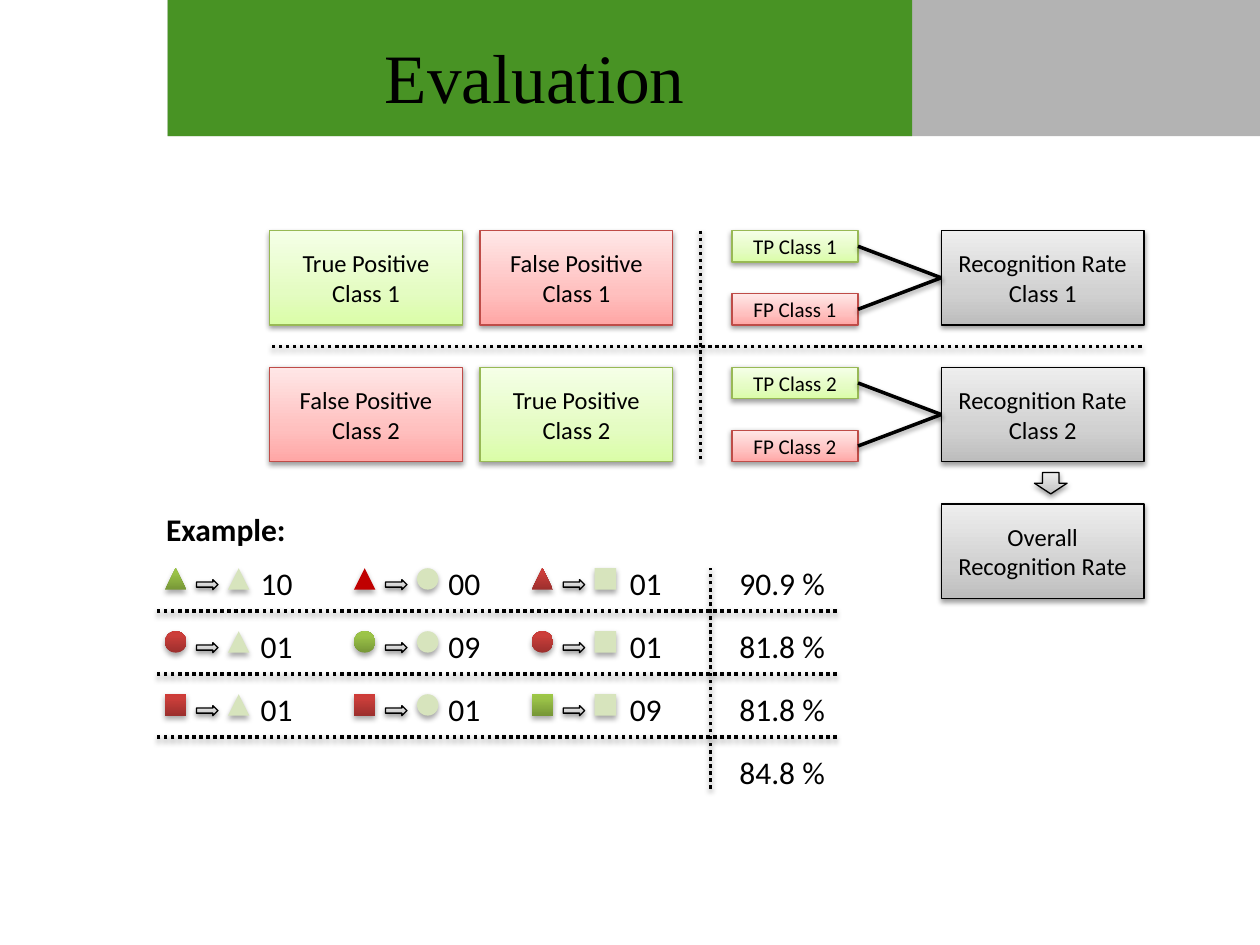
from copy import deepcopy
from typing import NamedTuple, Optional

from lxml import etree
from pptx import Presentation
from pptx.dml.color import RGBColor
from pptx.enum.dml import MSO_LINE
from pptx.enum.shapes import MSO_CONNECTOR, MSO_SHAPE
from pptx.enum.text import MSO_ANCHOR, MSO_AUTO_SIZE, PP_ALIGN
from pptx.oxml.ns import qn
from pptx.util import Inches, Pt

RECTANGLE = MSO_SHAPE.RECTANGLE
TRIANGLE = MSO_SHAPE.ISOSCELES_TRIANGLE
ELLIPSE = MSO_SHAPE.OVAL
RIGHT_ARROW = MSO_SHAPE.RIGHT_ARROW
DOWN_ARROW = MSO_SHAPE.DOWN_ARROW
STRAIGHT = MSO_CONNECTOR.STRAIGHT
DOTTED = MSO_LINE.ROUND_DOT
CENTER, LEFT = PP_ALIGN.CENTER, PP_ALIGN.LEFT
MIDDLE = MSO_ANCHOR.MIDDLE
NO_AUTO_SIZE = MSO_AUTO_SIZE.NONE

BLACK = RGBColor(0x00, 0x00, 0x00)
BAND_GRAY = RGBColor(0xB3, 0xB3, 0xB3)
BAND_GREEN = RGBColor(0x48, 0x93, 0x24)
PALE_GREEN = RGBColor(0xD7, 0xE4, 0xBD)
STRONG_RED = RGBColor(0xC0, 0x00, 0x00)
GREEN_EDGE = RGBColor(0x98, 0xB9, 0x55)
RED_EDGE = RGBColor(0xBF, 0x4C, 0x48)


class Style(NamedTuple):
    stops: tuple
    edge: Optional[RGBColor] = None


class Shadow(NamedTuple):
    opacity: int
    distance: float


def gradient(middle: float, *colors: str) -> tuple:
    return tuple(zip((0, middle, 1), map(RGBColor.from_string, colors)))


TRUE_BOX = Style(gradient(0.35, "DAFDA7", "E4FCC2", "F5FFE7"), GREEN_EDGE)
FALSE_BOX = Style(gradient(0.35, "FFA6A5", "FFC0BF", "FFE7E7"), RED_EDGE)
RATE_BOX = Style(gradient(0.35, "BDBDBD", "D1D1D1", "EEEEEE"), BLACK)
GREEN_MARK = Style(gradient(0.8, "779737", "9BC348", "9DC746"))
RED_MARK = Style(gradient(0.8, "9C2F2D", "CB3E3A", "CE3B37"))
FLAT_RED = Style(((0, STRONG_RED),))
FLAT_GREEN = Style(((0, PALE_GREEN),))
FLAT_BAND_GRAY = Style(((0, BAND_GRAY),))
FLAT_BAND_GREEN = Style(((0, BAND_GREEN),))
EDGE_SHADOW = Shadow(38, 1.6)
MARK_SHADOW = Shadow(35, 1.8)

MATRIX_TOP, MATRIX_STEP, BOX_HEIGHT = 1.83, 1.085, 0.75
MATRIX_LEFTS, BOX_WIDTH = (2.14, 3.81), 1.53
RATE_LEFT, RATE_WIDTH = 7.47, 1.61
LABEL_LEFT, LABEL_HEIGHT, LABEL_STEP = 5.81, 0.25, 0.5
EXAMPLE_TOP, EXAMPLE_STEP, MARK_SIZE = 4.51, 0.5, 0.17
EXAMPLE_LEFTS, MARK_STEP = (1.31, 2.81, 4.22), 0.25
COUNT_LEFT, COUNT_TABS = 1.97, (1.49, 2.93, 3.8)
MARKS = (TRIANGLE, ELLIPSE, RECTANGLE)
COUNTS = (
    ("10", "00", "01", "90.9 %"),
    ("01", "09", "01", "81.8 %"),
    ("01", "01", "09", "81.8 %"),
    ("", "", "", "84.8 %"),
)

presentation = Presentation()
presentation.slide_width, presentation.slide_height = Inches(10), Inches(7.5)
slide = presentation.slides.add_slide(presentation.slide_layouts[5])


def add_shadow(properties, shadow: Shadow) -> None:
    effects = properties.find(qn("a:effectLst"))
    if effects is None:
        effects = etree.SubElement(properties, qn("a:effectLst"))
    outer = etree.SubElement(effects, qn("a:outerShdw"), blurRad=str(Pt(3.1)),
                             dist=str(Pt(shadow.distance)), dir="5400000", rotWithShape="0")
    color = etree.SubElement(outer, qn("a:srgbClr"), val=str(BLACK))
    etree.SubElement(color, qn("a:alpha"), val=str(shadow.opacity * 1000))


def write(text_frame, text: str, size: float, alignment=LEFT, font="Calibri", bold=False) -> None:
    text_frame.text = text
    for paragraph in text_frame.paragraphs:
        paragraph.alignment = alignment
        for run in paragraph.runs:
            run.font.name, run.font.size, run.font.bold = font, Pt(size), bold
            run.font.color.rgb = BLACK


def add_box(kind, left: float, top: float, width: float, height: float, style: Style,
            text: str = "", size: float = 14, shadow: Optional[Shadow] = EDGE_SHADOW):
    shape = slide.shapes.add_shape(kind, *map(Inches, (left, top, width, height)))
    if len(style.stops) == 1:
        shape.fill.solid()
        shape.fill.fore_color.rgb = style.stops[0][1]
    else:
        shape.fill.gradient()
        shape.fill.gradient_angle = 90
        stop_list = shape._element.spPr.find(".//" + qn("a:gsLst"))
        stop_list.append(deepcopy(stop_list[0]))
        for stop, (position, color) in zip(shape.fill.gradient_stops, style.stops):
            stop.position, stop.color.rgb = position, color
    if style.edge is None:
        shape.line.fill.background()
    else:
        shape.line.color.rgb, shape.line.width = style.edge, Pt(0.75)
    shape.shadow.inherit = False
    if shadow:
        add_shadow(shape._element.spPr, shadow)
    if text:
        shape.text_frame.word_wrap = True
        shape.text_frame.vertical_anchor = MIDDLE
        write(shape.text_frame, text, size, CENTER)
    return shape


def add_line(start: tuple, end: tuple, dotted: bool = True):
    line = slide.shapes.add_connector(STRAIGHT, *map(Inches, start + end))
    line.line.color.rgb, line.line.width = BLACK, Pt(2)
    if dotted:
        line.line.dash_style = DOTTED
    add_shadow(line._element.spPr, EDGE_SHADOW)
    return line


def add_text(left: float, top: float, width: float, text: str, tabs: tuple = (), bold=False) -> None:
    text_frame = slide.shapes.add_textbox(*map(Inches, (left, top, width, 0.4))).text_frame
    text_frame.word_wrap = True
    write(text_frame, text, 18, bold=bold)
    if tabs:
        tab_list = etree.SubElement(text_frame.paragraphs[0]._p.get_or_add_pPr(), qn("a:tabLst"))
        for tab in tabs:
            etree.SubElement(tab_list, qn("a:tab"), pos=str(Inches(tab)), algn="l")


def add_header() -> None:
    add_box(RECTANGLE, 1.33, 0, 8.67, 1.08, FLAT_BAND_GRAY, shadow=None)
    add_box(RECTANGLE, 1.33, 0, 5.91, 1.08, FLAT_BAND_GREEN, shadow=None)
    title = slide.shapes.title
    title.left, title.top, title.width, title.height = map(Inches, (1.33, 0.25, 5.83, 0.7))
    title.text_frame.auto_size = NO_AUTO_SIZE
    title.text_frame.vertical_anchor = MIDDLE
    write(title.text_frame, "Evaluation", 39.6, CENTER, "Times New Roman")
    slide.shapes._spTree.append(title._element)


def add_class_row(row: int) -> None:
    top, name = MATRIX_TOP + row * MATRIX_STEP, f"Class {row + 1}"
    for column, left in enumerate(MATRIX_LEFTS):
        style, verdict = (TRUE_BOX, "True") if column == row else (FALSE_BOX, "False")
        add_box(RECTANGLE, left, top, BOX_WIDTH, BOX_HEIGHT, style, f"{verdict} Positive\n{name}")
    rate = add_box(RECTANGLE, RATE_LEFT, top, RATE_WIDTH, BOX_HEIGHT, RATE_BOX,
                   f"Recognition Rate\n{name}")
    for index, (prefix, style) in enumerate((("TP", TRUE_BOX), ("FP", FALSE_BOX))):
        label = add_box(RECTANGLE, LABEL_LEFT, top + index * LABEL_STEP, 1, LABEL_HEIGHT,
                        style, f"{prefix} {name}", 12)
        link = add_line((0, 0), (1, 1), dotted=False)
        link.begin_connect(label, 3)
        link.end_connect(rate, 1)


def add_example_row(row: int, mark) -> None:
    top = EXAMPLE_TOP + row * EXAMPLE_STEP
    for column, left in enumerate(EXAMPLE_LEFTS):
        style = GREEN_MARK if column == row else FLAT_RED if (row, column) == (0, 1) else RED_MARK
        add_box(mark, left, top, MARK_SIZE, MARK_SIZE, style, shadow=MARK_SHADOW)
        add_box(RIGHT_ARROW, left + MARK_STEP, top + 0.09, MARK_SIZE, 0.08, RATE_BOX)
        add_box(MARKS[column], left + 2 * MARK_STEP, top, MARK_SIZE, MARK_SIZE, FLAT_GREEN,
                shadow=MARK_SHADOW)
    add_line((6.64, top + 0.34), (1.22, top + 0.34))


def main() -> None:
    add_header()
    for row in range(2):
        add_class_row(row)
    add_line((5.56, 1.83), (5.56, 3.67))
    add_line((9.06, 2.75), (2.14, 2.75))
    add_box(DOWN_ARROW, 8.21, 3.75, 0.26, 0.17, RATE_BOX)
    add_box(RECTANGLE, RATE_LEFT, MATRIX_TOP + 2 * MATRIX_STEP, RATE_WIDTH, BOX_HEIGHT, RATE_BOX,
            "Overall Recognition Rate")
    add_text(1.22, 4, 1.2, "Example:", bold=True)
    for row, counts in enumerate(COUNTS):
        add_text(COUNT_LEFT, EXAMPLE_TOP - 0.08 + row * EXAMPLE_STEP, 4.84, "\t".join(counts), COUNT_TABS)
    for row, mark in enumerate(MARKS):
        add_example_row(row, mark)
    add_line((5.64, 6.26), (5.64, 4.51))
    presentation.save("out.pptx")


if __name__ == "__main__":
    main()
